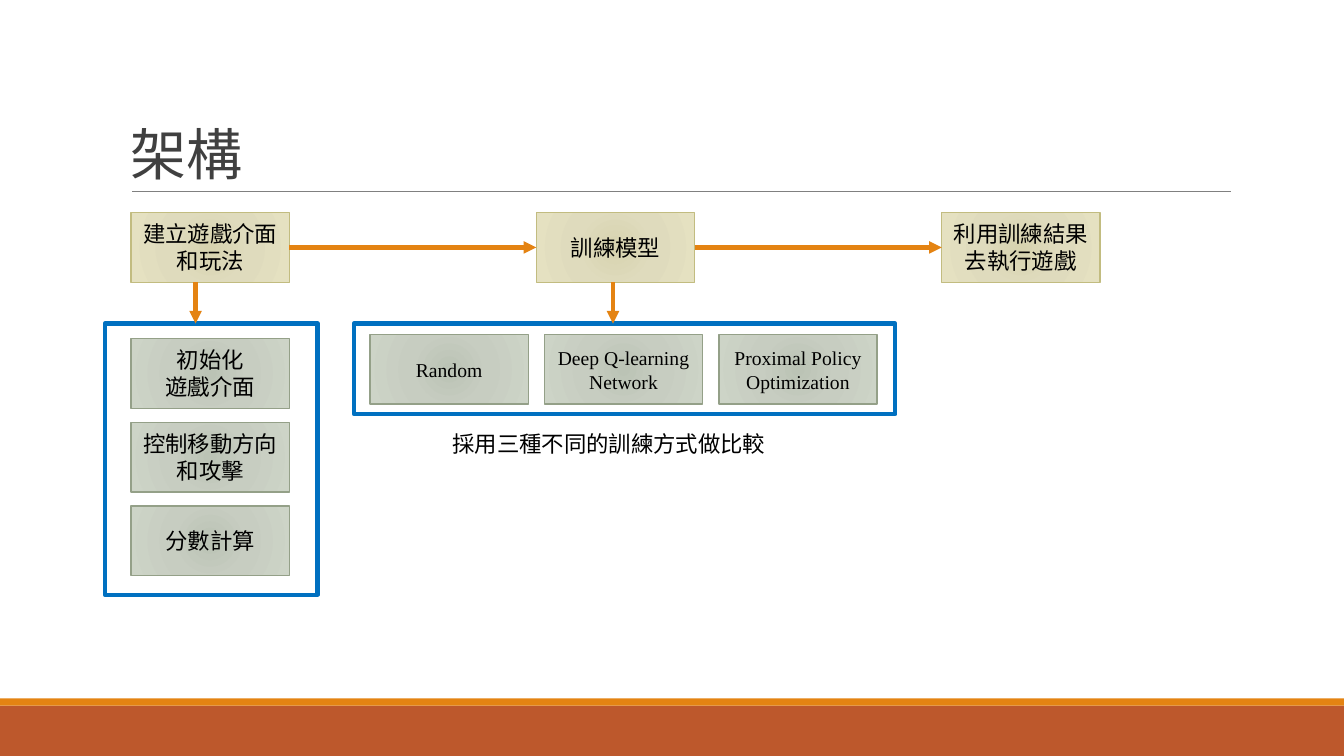
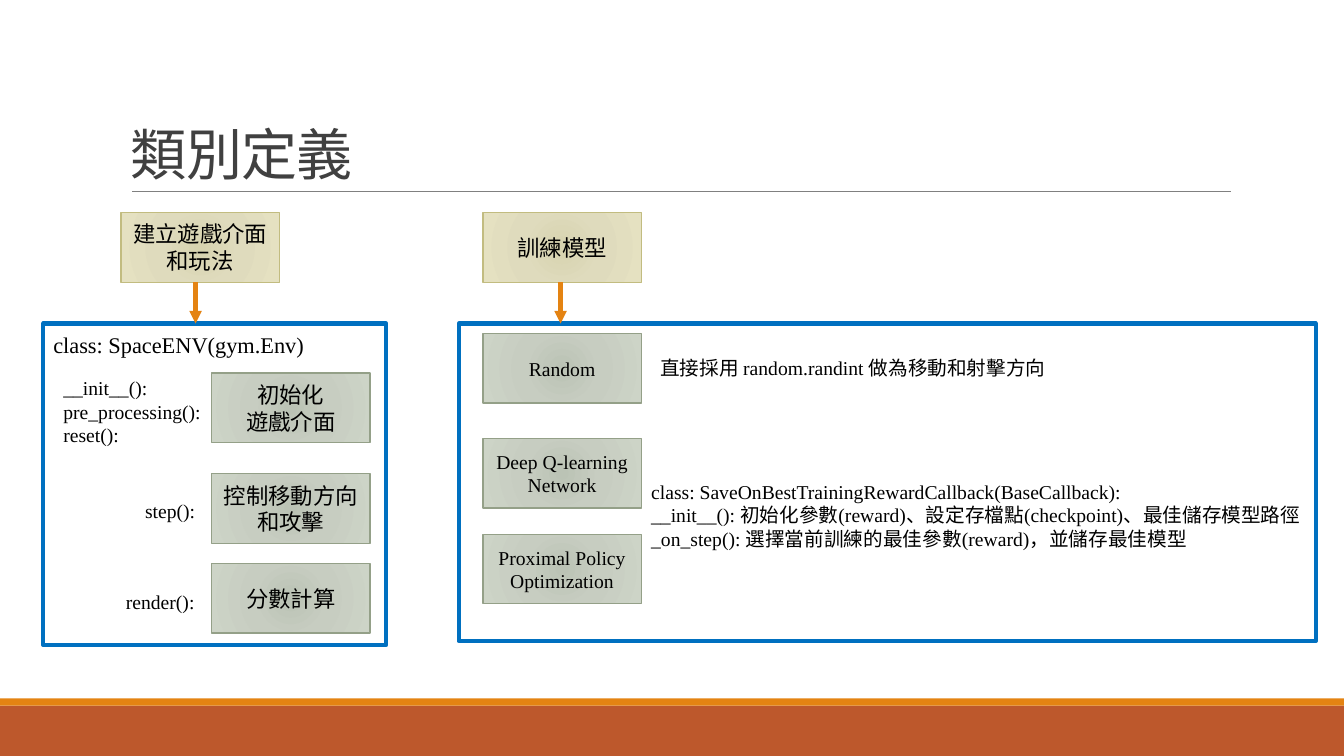
"""Build two slides on the plan and the classes of a game trained by learning."""
import dataclasses
import typing

import pptx
import pptx.dml.color
import pptx.enum.shapes
import pptx.enum.text
import pptx.oxml
import pptx.oxml.ns
import pptx.slide
import pptx.text.text
import pptx.util

Inches = pptx.util.Inches
Pt = pptx.util.Pt
Shape = pptx.enum.shapes.MSO_SHAPE
Align = pptx.enum.text.PP_ALIGN
Anchor = pptx.enum.text.MSO_ANCHOR


@dataclasses.dataclass(frozen=True)
class Tint:
    stops: tuple[str, str, str]
    edge: str


@dataclasses.dataclass(frozen=True)
class Theme:
    font: str = "Times New Roman"
    head: int = 40
    body: int = 16
    small: int = 14
    title: str = "404040"
    ink: str = "000000"
    paper: str = "FFFFFF"
    rule: str = "808080"
    frame: str = "0070C0"
    accent: str = "E48312"
    band: str = "BD582C"
    sand: Tint = Tint(("D7D3AF", "DFDBBD", "E5E1C1"), "C2BC80")
    sage: Tint = Tint(("BBC3B5", "C7CDC1", "CDD4C7"), "94A088")


THEME = Theme()
BOX_W, BOX_H = 1.57, 0.69
STAGE_Y, FRAME_Y = 2.11, 3.21
STAGES = ("建立遊戲介面\n和玩法", "訓練模型", "利用訓練結果去執行遊戲")
PARTS = ("初始化\n遊戲介面", "控制移動方向和攻擊", "分數計算")
MODELS = ("Random", "Deep Q-learning Network", "Proximal Policy Optimization")


@dataclasses.dataclass(frozen=True)
class Frame:
    x: float
    width: float
    height: float


@dataclasses.dataclass(frozen=True)
class Node:
    x: float
    y: float
    text: str
    tint: Tint = THEME.sage
    size: int = THEME.body


@dataclasses.dataclass(frozen=True)
class Arrow:
    x1: float
    y1: float
    x2: float
    y2: float


@dataclasses.dataclass(frozen=True)
class Note:
    x: float
    y: float
    width: float
    height: float
    text: str
    size: int = THEME.small
    wrap: bool = False
    align: Align = Align.LEFT


@dataclasses.dataclass(frozen=True)
class Page:
    title: str
    frames: list[Frame]
    nodes: list[Node]
    arrows: list[Arrow]
    notes: list[Note]


def color(code: str) -> pptx.dml.color.RGBColor:
    return pptx.dml.color.RGBColor.from_string(code)


def write(frame: pptx.text.text.TextFrame, text: str, size: int,
          ink: str = THEME.ink, align: Align = Align.LEFT) -> None:
    frame.text = text
    for para in frame.paragraphs:
        para.alignment = align
        para.font.name = THEME.font
        para.font.size = Pt(size)
        para.font.color.rgb = color(ink)


def add_rect(slide: pptx.slide.Slide, x: float, y: float, width: float, height: float,
             fill: str | None = None, edge: str | None = None, weight: float = 1) -> typing.Any:
    rect = slide.shapes.add_shape(
        Shape.RECTANGLE, Inches(x), Inches(y), Inches(width), Inches(height))
    rect.shadow.inherit = False
    if fill:
        rect.fill.solid()
        rect.fill.fore_color.rgb = color(fill)
    if edge:
        rect.line.color.rgb = color(edge)
        rect.line.width = Pt(weight)
    else:
        rect.line.fill.background()
    return rect


def add_line(slide: pptx.slide.Slide, path: Arrow, ink: str, weight: float, head: bool) -> None:
    line = slide.shapes.add_connector(
        pptx.enum.shapes.MSO_CONNECTOR.STRAIGHT,
        Inches(path.x1), Inches(path.y1), Inches(path.x2), Inches(path.y2))
    line.line.color.rgb = color(ink)
    line.line.width = Pt(weight)
    space = pptx.oxml.ns.nsdecls("a")
    if head:
        line.line._ln.append(pptx.oxml.parse_xml(f'<a:tailEnd {space} type="triangle"/>'))
    line._element.spPr.append(pptx.oxml.parse_xml(f"<a:effectLst {space}/>"))


def add_node(slide: pptx.slide.Slide, node: Node) -> None:
    rect = add_rect(slide, node.x, node.y, BOX_W, BOX_H, edge=node.tint.edge)
    stops = "".join(
        f'<a:gs pos="{spot * 1000}"><a:srgbClr val="{code}"/></a:gs>'
        for spot, code in zip((0, 45, 100), node.tint.stops))
    rect._element.spPr.insert(2, pptx.oxml.parse_xml(
        f'<a:gradFill {pptx.oxml.ns.nsdecls("a")}><a:gsLst>{stops}</a:gsLst>'
        '<a:path path="circle"><a:fillToRect l="100000" t="100000" r="100000" b="100000"/>'
        '</a:path></a:gradFill>'))
    rect.text_frame.word_wrap = True
    rect.text_frame.vertical_anchor = Anchor.MIDDLE
    write(rect.text_frame, node.text, node.size, align=Align.CENTER)


def add_note(slide: pptx.slide.Slide, note: Note) -> None:
    box = slide.shapes.add_textbox(
        Inches(note.x), Inches(note.y), Inches(note.width), Inches(note.height))
    box.text_frame.word_wrap = note.wrap
    box.text_frame.auto_size = pptx.enum.text.MSO_AUTO_SIZE.SHAPE_TO_FIT_TEXT
    write(box.text_frame, note.text, note.size, align=note.align)


def add_title(slide: pptx.slide.Slide, text: str) -> None:
    box = slide.shapes.add_textbox(Inches(1.2), Inches(0.31), Inches(11), Inches(1.59))
    box.text_frame.word_wrap = True
    box.text_frame.vertical_anchor = Anchor.BOTTOM
    write(box.text_frame, text, THEME.head, THEME.title)
    para = box.text_frame.paragraphs[0]
    para.line_spacing = 0.85
    para.runs[0]._r.get_or_add_rPr().set("spc", "-50")


def add_page(deck: typing.Any, page: Page) -> None:
    slide = deck.slides.add_slide(deck.slide_layouts[6])
    add_rect(slide, 0, 7, 13.33, 0.5, THEME.band)
    add_rect(slide, 0, 6.93, 13.33, 0.07, THEME.accent)
    add_line(slide, Arrow(1.31, 1.9, 12.21, 1.9), THEME.rule, 0.5, False)
    add_title(slide, page.title)
    for frame in page.frames:
        add_rect(slide, frame.x, FRAME_Y, frame.width, frame.height,
                 THEME.paper, THEME.frame, 3)
    for node in page.nodes:
        add_node(slide, node)
    for arrow in page.arrows:
        add_line(slide, arrow, THEME.accent, 3, True)
    for note in page.notes:
        add_note(slide, note)


def stage(x: float, text: str) -> Node:
    return Node(x, STAGE_Y, text, THEME.sand)


def drop(x: float) -> Arrow:
    return Arrow(x, STAGE_Y + BOX_H, x, FRAME_Y)


def plan_page() -> Page:
    left, step = 1.3, 4.02
    mid = STAGE_Y + BOX_H / 2
    nodes = [stage(left + step * i, text) for i, text in enumerate(STAGES)]
    nodes += [Node(left, 3.36 + 0.83 * i, text) for i, text in enumerate(PARTS)]
    nodes += [Node(3.67 + 1.73 * i, 3.32, text, size=THEME.small)
              for i, text in enumerate(MODELS)]
    links = [Arrow(left + step * i + BOX_W, mid, left + step * (i + 1), mid) for i in range(2)]
    return Page(
        "架構",
        [Frame(3.51, 5.37, 0.9), Frame(1.04, 2.11, 2.69)],
        nodes,
        links + [drop(1.94), drop(6.08)],
        [Note(4.39, 4.22, 3.34, 0.37, "採用三種不同的訓練方式做比較", THEME.body)])


def class_page() -> Page:
    nodes = [stage(x, text) for x, text in zip((1.2, 4.79), STAGES)]
    nodes += [Node(2.1, y, text) for y, text in zip((3.7, 4.7, 5.59), PARTS)]
    nodes += [Node(4.79, y, text, size=THEME.small)
              for y, text in zip((3.31, 4.35, 5.3), MODELS)]
    return Page(
        "類別定義",
        [Frame(0.43, 3.4, 3.19), Frame(4.55, 8.5, 3.15)],
        nodes,
        [drop(1.94), drop(5.56)],
        [Note(0.43, 3.24, 2.72, 0.37, "class: SpaceENV(gym.Env)", THEME.body),
         Note(0.53, 3.68, 1.58, 0.81, "__init__():\npre_processing():\nreset():"),
         Note(1.34, 4.9, 0.7, 0.34, "step():"),
         Note(1.15, 5.8, 0.89, 0.34, "render():"),
         Note(6.33, 3.48, 4.26, 0.34, "直接採用 random.randint 做為移動和射擊方向",
              wrap=True, align=Align.CENTER),
         Note(6.36, 4.71, 6.68, 1.04,
              "class: SaveOnBestTrainingRewardCallback(BaseCallback):\n"
              "__init__(): 初始化參數(reward)、設定存檔點(checkpoint)、最佳儲存模型路徑\n"
              "_on_step(): 選擇當前訓練的最佳參數(reward)，並儲存最佳模型",
              wrap=True)])


def main() -> None:
    deck = pptx.Presentation()
    deck.slide_width, deck.slide_height = Inches(13.33), Inches(7.5)
    for page in (plan_page(), class_page()):
        add_page(deck, page)
    deck.save("out.pptx")


if __name__ == "__main__":
    main()
